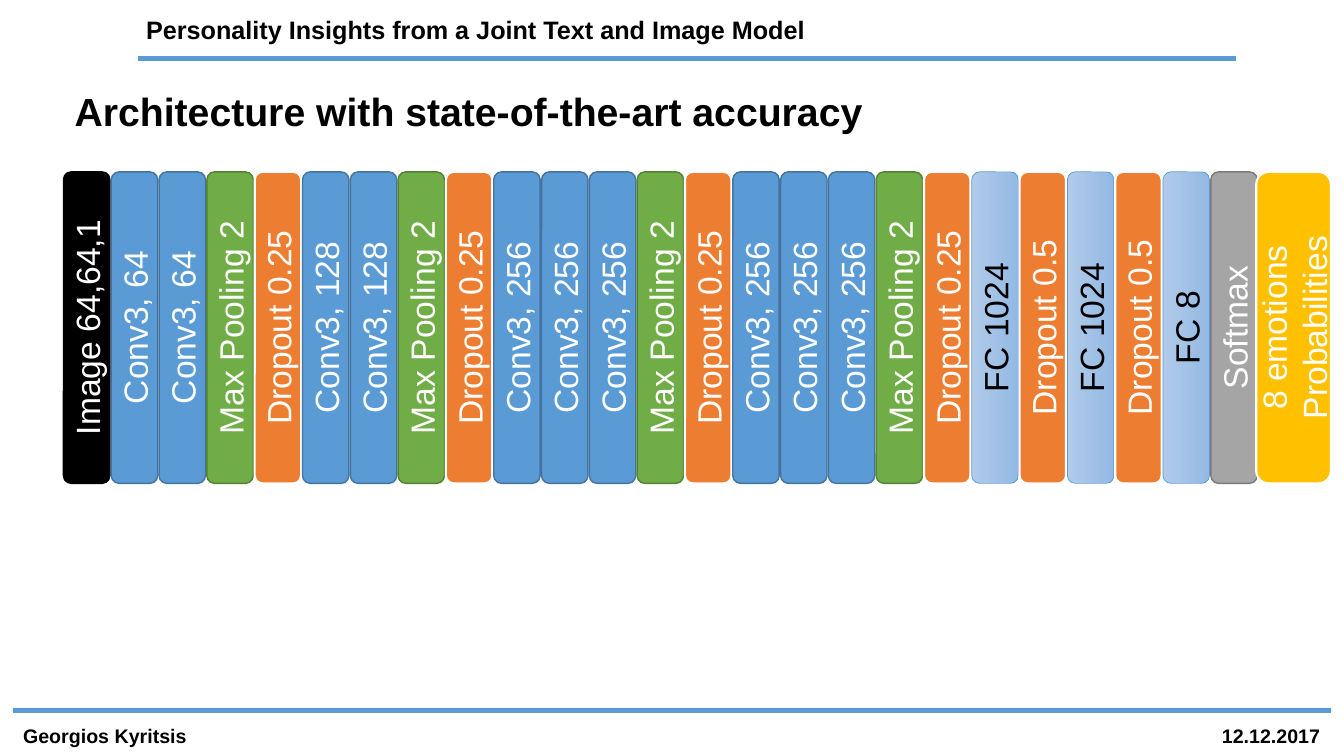
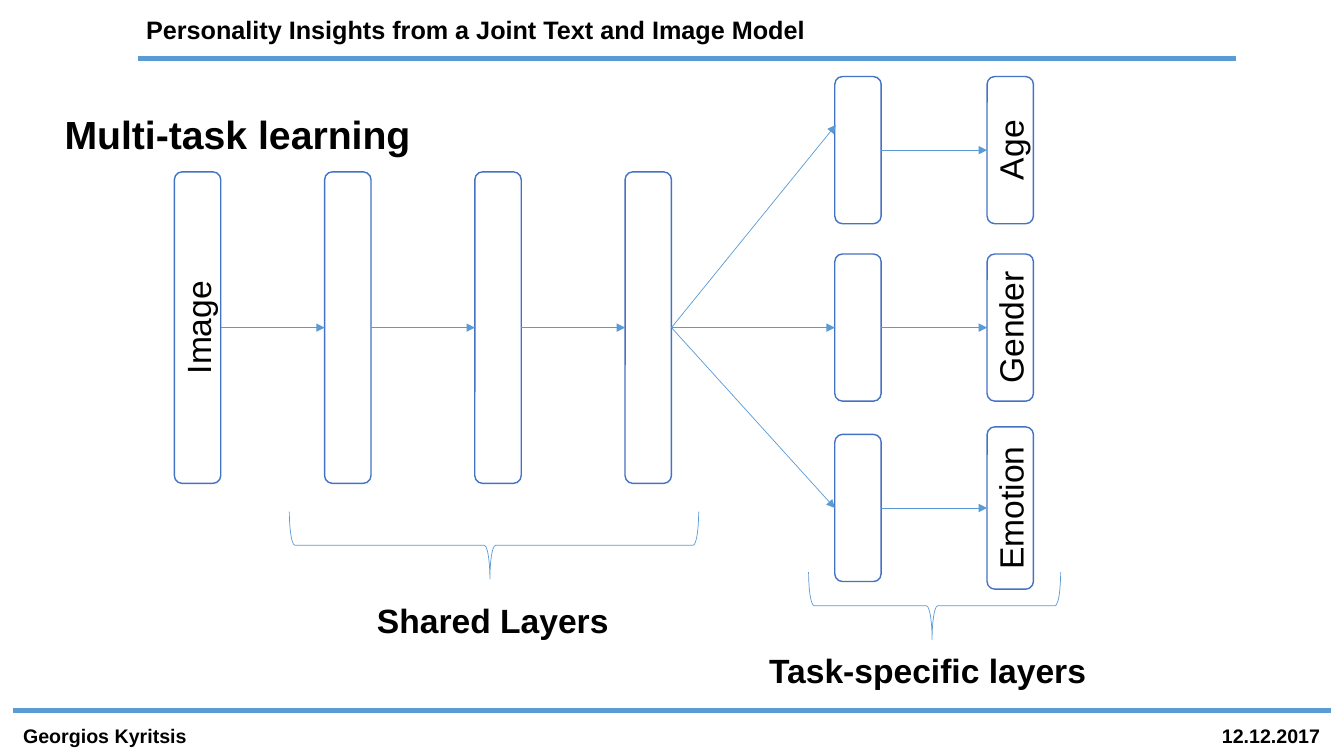
from dataclasses import dataclass
from itertools import pairwise

from pptx import Presentation
from pptx.dml.color import RGBColor
from pptx.enum.shapes import MSO_CONNECTOR as Connector, MSO_SHAPE as Shape
from pptx.enum.text import MSO_ANCHOR as Anchor, PP_ALIGN as Align
from pptx.oxml.ns import qn
from pptx.util import Inches, Pt
from lxml.etree import SubElement


@dataclass(frozen=True)
class Theme:
    font: str = "Arial"
    title_size: int = 28
    label_size: int = 24
    header_size: int = 18
    footer_size: int = 14
    black: str = "000000"
    white: str = "FFFFFF"
    accent: str = "5B9BD5"
    outline: str = "4472C4"
    rule_width: float = 4
    thin: float = 0.5


THEME = Theme()
TOP, LEFT, BOTTOM, RIGHT = range(4)

# Content shared by both slides: text, left, top, width, height, size
HEADER_TEXTS = [
    ("Personality Insights from a Joint Text and Image Model", 1.35, 0.09, 6.85, 0.4, THEME.header_size),
    ("Georgios Kyritsis", 0.13, 7.13, 2.05, 0.34, THEME.footer_size),
    ("12.12.2017", 12.02, 7.13, 1.25, 0.34, THEME.footer_size),
]
RULES = [(1.37, 12.26, 0.58), (0.13, 13.2, 7.05)]

# Layer styles: fill (two colours make a gradient), outline, outline width, text colour
STYLES = {
    "input": ("000000", "000000", 1, THEME.white),
    "conv": (THEME.accent, "43739E", 1, THEME.white),
    "pool": ("70AD47", "538035", 1, THEME.white),
    "dropout": ("ED7D31", THEME.white, 1.5, THEME.white),
    "dense": (("B1CBE9", "93B9E4"), THEME.accent, THEME.thin, THEME.black),
    "softmax": ("A5A5A5", "7A7A7A", 1, THEME.white),
    "output": ("FFC000", THEME.white, 1.5, THEME.white),
    "plain": (THEME.white, THEME.outline, 1, THEME.black),
}


def conv_block(filters, count):
    return [("conv", f"Conv3, {filters}")] * count + [("pool", "Max Pooling 2"), ("dropout", "Dropout 0.25")]


# Slide 1: layers from input to output
LAYERS = [
    ("input", "Image 64,64,1"),
    *conv_block(64, 2), *conv_block(128, 2), *conv_block(256, 3), *conv_block(256, 3),
    *[("dense", "FC 1024"), ("dropout", "Dropout 0.5")] * 2,
    ("dense", "FC 8"),
    ("softmax", "Softmax"),
]
OUTPUT = "8 emotions\nProbabilities"
FIRST_X, LAST_X, OUTPUT_X = 0.86, 12.24, 12.83

# Slide 2: shared layers, then task rows (label, centre height, label box height)
SHARED = ["Image", "", "", ""]
TASKS = [("Age", 1.49, 1.46), ("Gender", 3.25, 1.46), ("Emotion", 5.04, 1.61)]
SHARED_X, SHARED_PITCH = 1.96, 1.49
TASK_X, LABEL_X = 8.51, 10.02
BRANCH_TOP_END = (8.29, 1.24)
# Braces: centre x, centre y, width; captions: text, left, top, width
BRACES = [(4.9, 5.41, 4.06), (9.27, 6.01, 2.5)]
CAPTIONS = [("Shared Layers", 3.64, 5.9, 2.52), ("Task-specific layers", 7.53, 6.4, 3.47)]

BAR_WIDTH, BAR_HEIGHT, TASK_HEIGHT, MIDDLE_Y = 0.46, 3.09, 1.46, 3.25


def color(code):
    return RGBColor.from_string(code)


def write(frame, text, size, text_color=THEME.black, bold=False, align=Align.LEFT):
    frame.text = text
    frame.word_wrap = True
    for paragraph in frame.paragraphs:
        paragraph.alignment = align
        font = paragraph.font
        font.name, font.size, font.bold = THEME.font, Pt(size), bold
        font.color.rgb = color(text_color)


def set_line(shape, line_color, width):
    shape.line.color.rgb = color(line_color)
    shape.line.width = Pt(width)


def add_text(slide, text, left, top, width, height, size):
    box = slide.shapes.add_textbox(*map(Inches, (left, top, width, height)))
    write(box.text_frame, text, size, bold=True)


def add_line(slide, begin, end, width, arrow=False):
    line = slide.shapes.add_connector(Connector.STRAIGHT, *map(Inches, (*begin, *end)))
    set_line(line, THEME.accent, width)
    if arrow:
        SubElement(line.line._get_or_add_ln(), qn("a:tailEnd"), type="triangle")
    SubElement(line._element.spPr, qn("a:effectLst"))
    return line


def join(slide, source, target):
    arrow = add_line(slide, (0, 0), (1, 1), THEME.thin, arrow=True)
    arrow.begin_connect(source, RIGHT)
    arrow.end_connect(target, LEFT)


def add_bar(slide, x, y, style, text="", height=BAR_HEIGHT, width=BAR_WIDTH):
    """Add an upright rounded bar centred on x, y, its text running upwards."""
    fill, outline, outline_width, text_color = STYLES[style]
    bar = slide.shapes.add_shape(
        Shape.ROUNDED_RECTANGLE, *map(Inches, (x - width / 2, y - height / 2, width, height)))
    bar.shadow.inherit = False
    if isinstance(fill, tuple):
        bar.fill.gradient()
        bar.fill.gradient_angle = 0
        for stop, stop_color in zip(bar.fill.gradient_stops, fill):
            stop.color.rgb = color(stop_color)
    else:
        bar.fill.solid()
        bar.fill.fore_color.rgb = color(fill)
    set_line(bar, outline, outline_width)
    if text:
        frame = bar.text_frame
        write(frame, text, THEME.label_size, text_color, align=Align.CENTER)
        frame.vertical_anchor = Anchor.MIDDLE
        frame.margin_left = frame.margin_right = frame.margin_top = frame.margin_bottom = 0
        frame._txBody.bodyPr.set("vert", "vert270")
    return bar


def add_brace(slide, x, y, width, depth=0.67):
    """Add a brace that opens upwards, centred on x, y."""
    brace = slide.shapes.add_shape(
        Shape.LEFT_BRACE, *map(Inches, (x - depth / 2, y - width / 2, depth, width)))
    brace.rotation = 270
    brace.adjustments[0], brace.adjustments[1] = 0.083, 0.49
    brace.shadow.inherit = False
    brace.fill.background()
    set_line(brace, THEME.accent, THEME.thin)


def add_slide(presentation, title_text, left, top, width):
    slide = presentation.slides.add_slide(presentation.slide_layouts.get_by_name("Title Only"))
    title = slide.shapes.title
    title.left, title.top, title.width, title.height = map(Inches, (left, top, width, 0.57))
    write(title.text_frame, title_text, THEME.title_size, bold=True)
    title.text_frame.vertical_anchor = Anchor.TOP
    for header in HEADER_TEXTS:
        add_text(slide, *header)
    for start, end, y in RULES:
        add_line(slide, (start, y), (end, y), THEME.rule_width)
    return slide


def build_architecture(presentation):
    slide = add_slide(presentation, "Architecture with state-of-the-art accuracy", 0.64, 0.82, 8.11)
    pitch = (LAST_X - FIRST_X) / (len(LAYERS) - 1)
    for index, (style, text) in enumerate(LAYERS):
        add_bar(slide, FIRST_X + index * pitch, MIDDLE_Y, style, text)
    add_bar(slide, OUTPUT_X, MIDDLE_Y, "output", OUTPUT, width=0.74)


def build_multi_task(presentation):
    slide = add_slide(presentation, "Multi-task learning", 0.54, 1.04, 3.72)
    # Shared layers
    shared = [add_bar(slide, SHARED_X + index * SHARED_PITCH, MIDDLE_Y, "plain", text)
              for index, text in enumerate(SHARED)]
    for source, target in pairwise(shared):
        join(slide, source, target)
    # One branch for each task
    for row, (label, y, label_height) in enumerate(TASKS):
        task = add_bar(slide, TASK_X, y, "plain", height=TASK_HEIGHT)
        result = add_bar(slide, LABEL_X, y, "plain", label, label_height)
        join(slide, task, result)
        if row:
            join(slide, shared[-1], task)
        else:
            branch = add_line(slide, (0, 0), BRANCH_TOP_END, THEME.thin, arrow=True)
            branch.begin_connect(shared[-1], RIGHT)
    # Braces and captions
    for brace in BRACES:
        add_brace(slide, *brace)
    for text, left, top, width in CAPTIONS:
        add_text(slide, text, left, top, width, 0.5, THEME.label_size)


def main():
    presentation = Presentation()
    presentation.slide_width, presentation.slide_height = Inches(13.33), Inches(7.5)
    build_architecture(presentation)
    build_multi_task(presentation)
    presentation.save("out.pptx")


if __name__ == "__main__":
    main()
